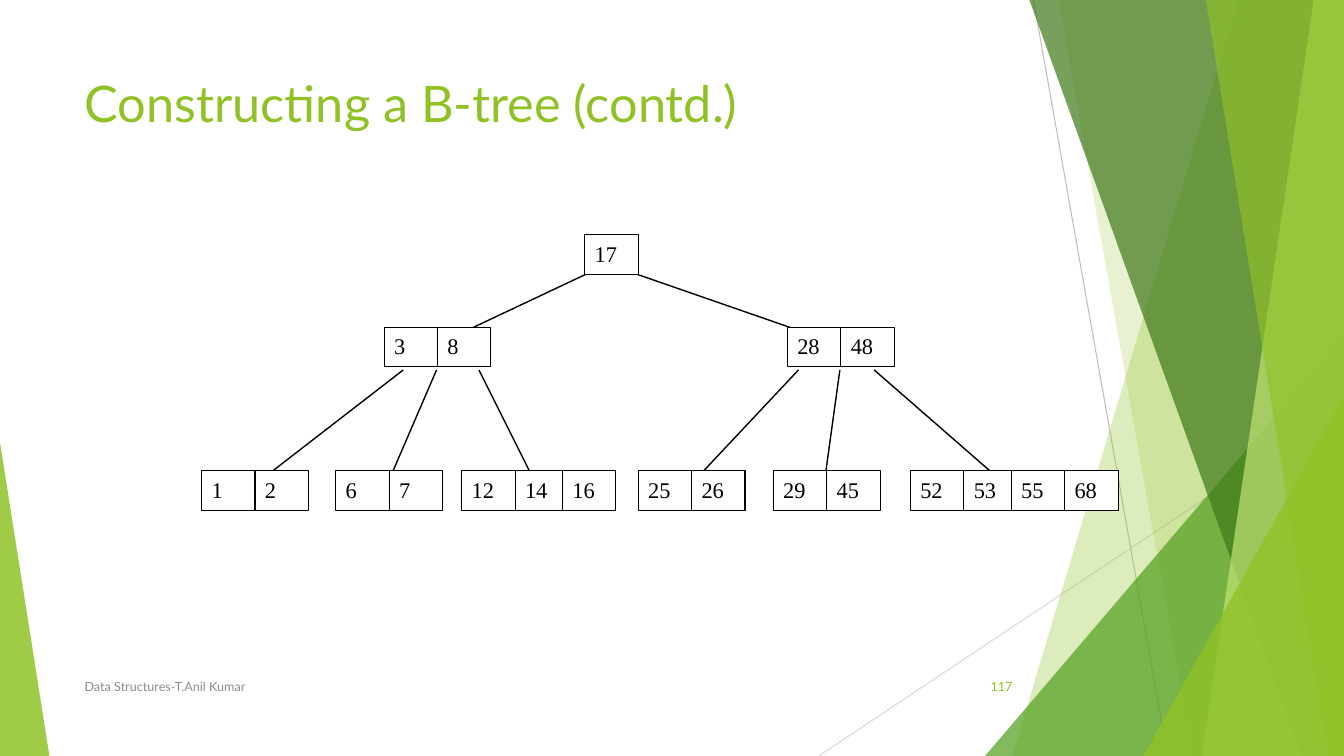
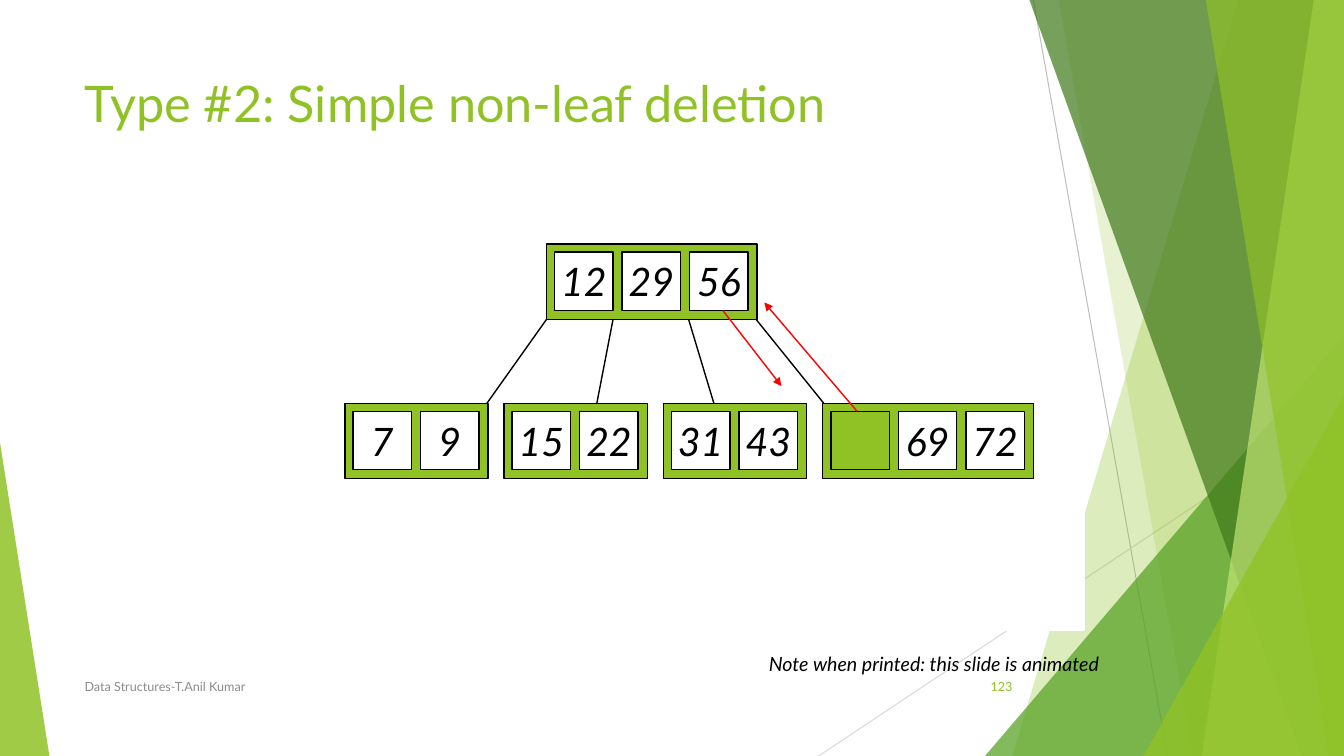
"""Build two B-tree slides on a shared layout of green bands."""
from lxml import etree
from pptx import Presentation
from pptx.dml.color import RGBColor
from pptx.enum.shapes import MSO_CONNECTOR, MSO_SHAPE
from pptx.enum.text import MSO_ANCHOR, MSO_AUTO_SIZE, PP_ALIGN
from pptx.oxml.ns import qn
from pptx.util import Inches, Pt

STRAIGHT = MSO_CONNECTOR.STRAIGHT
RECTANGLE = MSO_SHAPE.RECTANGLE
TRIANGLE = MSO_SHAPE.ISOSCELES_TRIANGLE
TOP, MIDDLE = MSO_ANCHOR.TOP, MSO_ANCHOR.MIDDLE
LEFT, CENTER, RIGHT = PP_ALIGN.LEFT, PP_ALIGN.CENTER, PP_ALIGN.RIGHT
NO_AUTOFIT = MSO_AUTO_SIZE.NONE

WHITE = RGBColor(0xFF, 0xFF, 0xFF)
BLACK = RGBColor(0x00, 0x00, 0x00)
RED = RGBColor(0xFF, 0x00, 0x00)
GREEN = RGBColor(0x90, 0xC2, 0x26)
MID_GREEN = RGBColor(0x54, 0xA0, 0x21)
DARK_GREEN = RGBColor(0x3F, 0x78, 0x19)
PALE_GREEN = RGBColor(0xC0, 0xE4, 0x74)
FOOTER_GREY = RGBColor(0x8C, 0x8C, 0x8C)
LINE_GREY = RGBColor(0xBF, 0xBF, 0xBF)
LIGHT_GREY = RGBColor(0xD9, 0xD9, 0xD9)

WIDTH, HEIGHT = 13.33, 7.5
FONT, KEY_FONT = "Lato", "Times New Roman"

KEY_OFFSETS = (0, 0.53, 1, 1.53)
KEY_W, KEY_H = 0.53, 0.39
CELL, PITCH, PAD, NODE_H = 0.58, 0.67, 0.08, 0.75


class Deck:
    """Hold the style, the presentation and the current slide."""

    def __init__(self):
        self.prs = Presentation()
        self.prs.slide_width = Inches(WIDTH)
        self.prs.slide_height = Inches(HEIGHT)
        self.layout = self.prs.slide_layouts[5]
        self.slide = None

    def new_slide(self, title, number):
        """Start a slide with its title and number."""
        first = self.slide is None
        self.slide = self.prs.slides.add_slide(self.layout)
        if first:
            self.share(self.backdrop())
        sp = self.slide.shapes.title
        sp.left, sp.top, sp.width, sp.height = map(Inches, (0.74, 0.67, 9.4, 1.44))
        self.set_text(sp, title, 36, GREEN, anchor=TOP)
        self.text((9.39, 6.61, 0.75, 0.4), number, 9, GREEN, align=RIGHT)

    def share(self, items):
        """Move shapes from the current slide to the layout."""
        tree = self.layout.shapes.element
        for i, sp in enumerate(items):
            sp.element.xpath(".//p:cNvPr")[0].set("id", str(100 + i))
            tree.insert(2 + i, sp.element)

    def backdrop(self):
        """Draw the bands, hairlines and footer of every slide."""
        return [
            self.line((10.25, 0), (11.58, HEIGHT), LINE_GREY, 0.75),
            self.line((WIDTH, 4.03), (8.12, HEIGHT), LIGHT_GREY, 0.75),
            self.band(12.28, 10.04, GREEN, 30),
            self.band(10.5, 11.83, GREEN, 20),
            self.triangle((9.77, 3.33, 3.56, 4.17), 1, MID_GREEN, 72),
            self.band(10.21, 12.91, DARK_GREEN, 70),
            self.band(13.03, 11.92, PALE_GREEN, 70),
            self.band(11.96, 13.18, GREEN, 65),
            self.triangle((11.34, 3.93, 1.99, 3.57), 1, GREEN, 80),
            self.triangle((0, 4.39, 0.49, 3.11), 0, GREEN, 85),
            self.text((0.74, 6.61, 6.89, 0.4), "Data Structures-T.Anil Kumar", 9, FOOTER_GREY),
        ]

    def paint(self, sp, fill, line=None, weight=1, opacity=100):
        """Set fill, outline and opacity, without a shadow."""
        sp.shadow.inherit = False
        sp.fill.solid()
        sp.fill.fore_color.rgb = fill
        if opacity < 100:
            color = sp.element.spPr.find(qn("a:solidFill"))[0]
            etree.SubElement(color, qn("a:alpha"), val=str(opacity * 1000))
        if line is None:
            sp.line.fill.background()
        else:
            sp.line.color.rgb = line
            sp.line.width = Pt(weight)
        return sp

    def set_text(self, sp, text, size, color, font=FONT, align=LEFT, anchor=MIDDLE,
                 italic=False, wrap=True):
        """Put one formatted run into a shape."""
        tf = sp.text_frame
        tf.word_wrap = wrap
        tf.auto_size = NO_AUTOFIT
        tf.vertical_anchor = anchor
        p = tf.paragraphs[0]
        p.alignment = align
        r = p.add_run()
        r.text = text
        r.font.name, r.font.size, r.font.italic = font, Pt(size), italic
        r.font.color.rgb = color
        return sp

    def text(self, box, text, size, color, **style):
        """Add a text box."""
        sp = self.slide.shapes.add_textbox(*map(Inches, box))
        return self.set_text(sp, text, size, color, **style)

    def rect(self, box, fill, line=BLACK, weight=1):
        """Add an outlined rectangle."""
        sp = self.slide.shapes.add_shape(RECTANGLE, *map(Inches, box))
        return self.paint(sp, fill, line, weight)

    def triangle(self, box, apex, fill, opacity):
        """Add a translucent triangle with its apex at a fraction of its width."""
        sp = self.slide.shapes.add_shape(TRIANGLE, *map(Inches, box))
        sp.adjustments[0] = apex
        return self.paint(sp, fill, opacity=opacity)

    def band(self, top_x, bottom_x, fill, opacity):
        """Add a translucent band from a slanted edge to the right border."""
        builder = self.slide.shapes.build_freeform(Inches(top_x), 0)
        corners = ((WIDTH, 0), (WIDTH, HEIGHT), (bottom_x, HEIGHT))
        builder.add_line_segments([(Inches(x), Inches(y)) for x, y in corners])
        return self.paint(builder.convert_to_shape(), fill, opacity=opacity)

    def line(self, start, end, color=BLACK, weight=1, arrow=False):
        """Add a straight line, with an arrowhead if asked."""
        sp = self.slide.shapes.add_connector(STRAIGHT, *map(Inches, start + end))
        sp.line.color.rgb = color
        sp.line.width = Pt(weight)
        sp_pr = sp.element.spPr
        if arrow:
            etree.SubElement(sp_pr.find(qn("a:ln")), qn("a:tailEnd"), type="triangle")
        etree.SubElement(sp_pr, qn("a:effectLst"))
        return sp

    def key_row(self, x, y, keys):
        """Add a node of adjoining white cells."""
        for offset, key in zip(KEY_OFFSETS, keys):
            sp = self.rect((x + offset, y, KEY_W, KEY_H), WHITE, weight=0.75)
            self.set_text(sp, str(key), 16, BLACK, font=KEY_FONT, anchor=TOP)

    def framed_node(self, x, y, keys):
        """Add a green node with spaced cells; None leaves a cell empty."""
        self.rect((x, y, len(keys) * PITCH + PAD, NODE_H), GREEN)
        for i, key in enumerate(keys):
            box = (x + PAD + i * PITCH, y + PAD, CELL, CELL)
            if key is None:
                self.rect(box, GREEN)
            else:
                self.set_text(self.rect(box, WHITE), str(key), 28, BLACK,
                              align=CENTER, italic=True, wrap=False)


def construction_slide(deck):
    """Show the finished three-level tree."""
    deck.new_slide("Constructing a B-tree (contd.)", "117")
    root_y, inner_y, leaf_y = 2.33, 3.25, 4.67
    for start, end in ((4, 2.5), (4.33, 3.83), (4.75, 5.33),
                       (7.92, 6.83), (8.33, 8.17), (8.67, 10)):
        deck.line((start, 3.67), (end, 4.83))
    for start, end in ((5.92, 4.33), (6.17, 8.33)):
        deck.line((start, 2.67), (end, 3.42))
    deck.key_row(5.8, root_y, [17])
    for x, keys in ((3.81, [3, 8]), (7.81, [28, 48])):
        deck.key_row(x, inner_y, keys)
    for x, keys in ((2, [1, 2]), (3.33, [6, 7]), (4.58, [12, 14, 16]),
                    (6.33, [25, 26]), (7.67, [29, 45]), (9.03, [52, 53, 55, 68])):
        deck.key_row(x, leaf_y, keys)


def deletion_slide(deck):
    """Show a non-leaf key replaced by its successor."""
    deck.new_slide("Type #2: Simple non-leaf deletion", "123")
    root_y, leaf_y = 2.42, 4
    deck.framed_node(5.42, root_y, [12, 29, 56])
    for i, keys in enumerate(([7, 9], [15, 22], [31, 43], [None, 69, 72])):
        deck.framed_node(3.42 + 1.58 * i, leaf_y, keys)
    for start, end in ((5.42, 4.83), (6.08, 5.92), (6.83, 7.08), (7.5, 8.17)):
        deck.line((start, root_y + NODE_H), (end, leaf_y))
    deck.line((7.17, 3.08), (7.75, 3.83), RED, arrow=True)
    deck.line((8.5, 4.08), (7.58, 3), RED, arrow=True)
    deck.rect((7.33, 4.83, 3.42, 1.42), WHITE, WHITE)
    deck.text((7.32, 6.41, 3.89, 0.34), "Note when printed: this slide is animated",
              14, BLACK, align=CENTER, italic=True, wrap=False)


def main():
    """Build and save both slides."""
    deck = Deck()
    construction_slide(deck)
    deletion_slide(deck)
    deck.prs.save("out.pptx")


if __name__ == "__main__":
    main()
